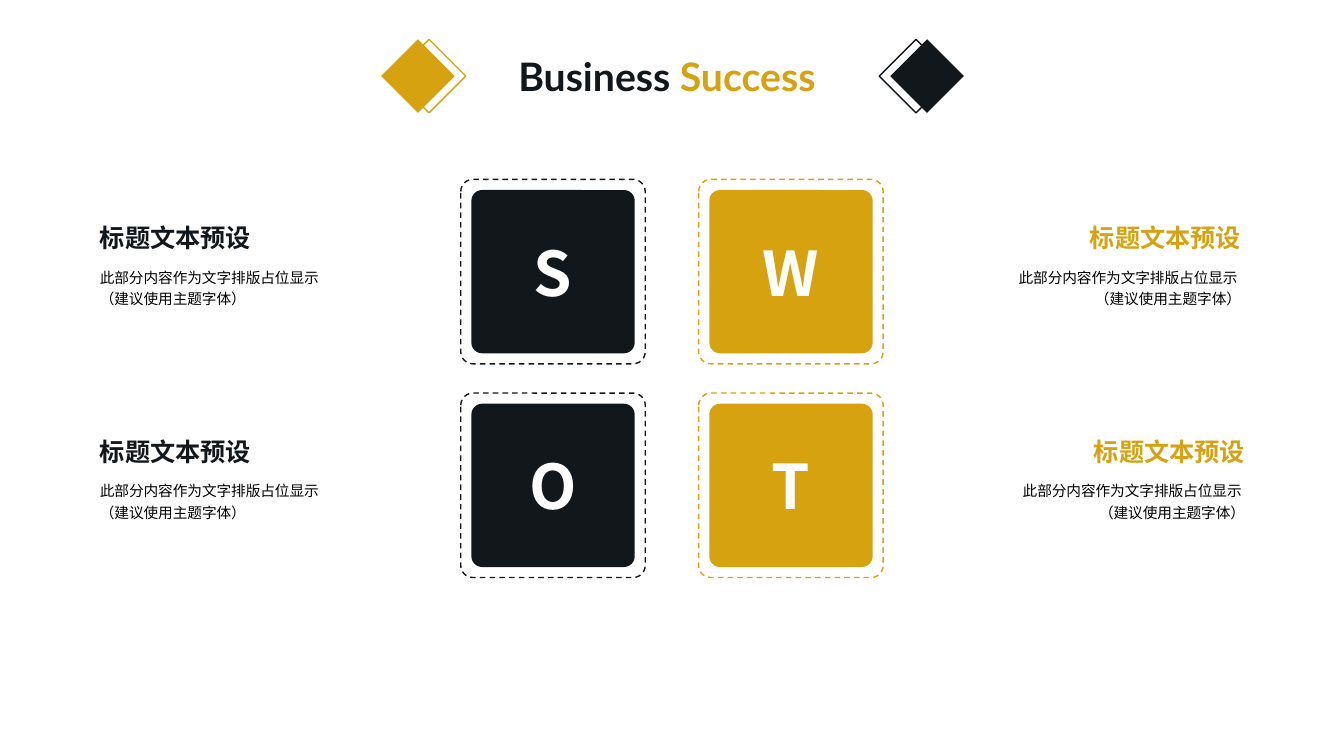
from lxml.etree import SubElement
from pptx import Presentation
from pptx.dml.color import RGBColor
from pptx.enum.dml import MSO_LINE
from pptx.enum.shapes import MSO_SHAPE as Kind
from pptx.enum.text import MSO_ANCHOR as Anchor, MSO_AUTO_SIZE as Auto, PP_ALIGN as Align
from pptx.oxml.ns import qn
from pptx.util import Inches, Pt

DARK, GOLD, WHITE, BLACK = "12171C", "D6A210", "FFFFFF", "000000"
CJK, LATIN = "Noto Sans CJK SC", "Lato"
TITLE = [("Business ", DARK), ("Success", GOLD)]
HEAD = "标题文本预设"
BODY = "此部分内容作为文字排版占位显示 \n（建议使用主题字体）"
TILES = [
    ("S", 0, 0, 0.99, 3.17),
    ("W", 0, 1, 9.14, 3.17),
    ("O", 1, 0, 0.99, 3.12),
    ("T", 1, 1, 9.16, 3.19),
]
SIDES = [(DARK, Align.LEFT), (GOLD, Align.RIGHT)]
GEMS = [(3.78, 0.11, GOLD), (8.83, -0.11, DARK)]
LEFT, TOP, STEP_X, STEP_Y = 4.57, 1.78, 2.36, 2.12
OUTER, INNER, ROUND = 1.83, 1.62, 0.066
GEM, GEM_TOP = 0.73, 0.39

deck = Presentation()
deck.slide_width, deck.slide_height = Inches(13.33), Inches(7.5)
slide = deck.slides.add_slide(deck.slide_layouts[5])


def color(code):
    return RGBColor.from_string(code)


def place(item, x, y, w, h):
    item.left, item.top, item.width, item.height = map(Inches, (x, y, w, h))


def style(para, size, name, bold, code=None):
    font = para.font
    font.size, font.bold, font.name = Pt(size), bold, name
    if code:
        font.color.rgb = color(code)
    props = para._p.get_or_add_pPr().find(qn("a:defRPr"))
    SubElement(props, qn("a:ea")).set("typeface", name)


def draw(kind, x, y, size, fill=None, line=None):
    item = slide.shapes.add_shape(kind, *map(Inches, (x, y, size, size)))
    item.shadow.inherit = False
    if fill:
        item.fill.solid()
        item.fill.fore_color.rgb = color(fill)
        item.line.fill.background()
    else:
        item.fill.background()
        item.line.color.rgb = color(line)
        item.line.width = Pt(1)
    return item


def write(words, x, y, w, h, align, size, bold, code, wrap):
    frame = slide.shapes.add_textbox(*map(Inches, (x, y, w, h))).text_frame
    frame.margin_left = frame.margin_right = frame.margin_top = frame.margin_bottom = 0
    frame.word_wrap = wrap
    frame.vertical_anchor = Anchor.MIDDLE if wrap else Anchor.TOP
    para = frame.paragraphs[0]
    para.text, para.alignment = words, align
    if wrap:
        para.line_spacing = 1.2
    style(para, size, CJK, bold, code)


for mark, row, col, text_x, text_w in TILES:
    tint, align = SIDES[col]
    x, y = LEFT + col * STEP_X, TOP + row * STEP_Y
    inset = (OUTER - INNER) / 2
    tile = draw(Kind.ROUNDED_RECTANGLE, x + inset, y + inset, INNER, fill=tint)
    frame = draw(Kind.ROUNDED_RECTANGLE, x, y, OUTER, line=tint)
    tile.adjustments[0] = frame.adjustments[0] = ROUND
    frame.line.dash_style = MSO_LINE.DASH
    tile.text_frame.vertical_anchor = Anchor.MIDDLE
    para = tile.text_frame.paragraphs[0]
    para.text, para.alignment = mark, Align.CENTER
    style(para, 44, CJK, True, WHITE)
    write(HEAD, text_x, y + 0.43, text_w, 0.3, align, 18, True, tint, False)
    write(BODY, text_x, y + 0.73, text_w, 0.66, align, 10.5, False, BLACK, True)

for x, shift, tint in GEMS:
    solid = draw(Kind.DIAMOND, x, GEM_TOP, GEM, fill=tint)
    ring = draw(Kind.DIAMOND, x + shift, GEM_TOP, GEM, line=tint)
    solid.rotation = ring.rotation = 90

title = slide.shapes.title
place(title, 5.04, 0.47, 3.25, 0.57)
frame = title.text_frame
frame.word_wrap, frame.auto_size = False, Auto.SHAPE_TO_FIT_TEXT
frame.vertical_anchor = Anchor.TOP
para = frame.paragraphs[0]
para.alignment = Align.LEFT
style(para, 28, LATIN, True)
for words, tint in TITLE:
    run = para.add_run()
    run.text = words
    run.font.color.rgb = color(tint)

deck.save("out.pptx")
